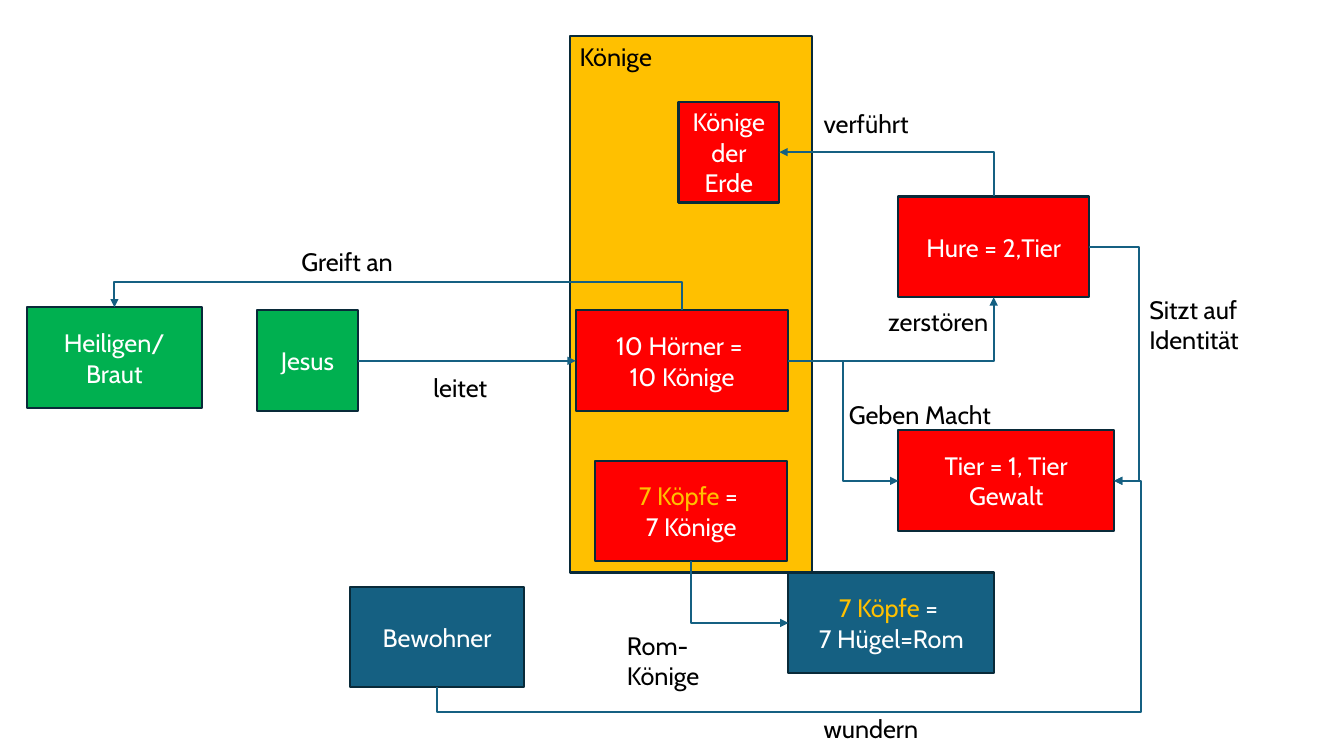
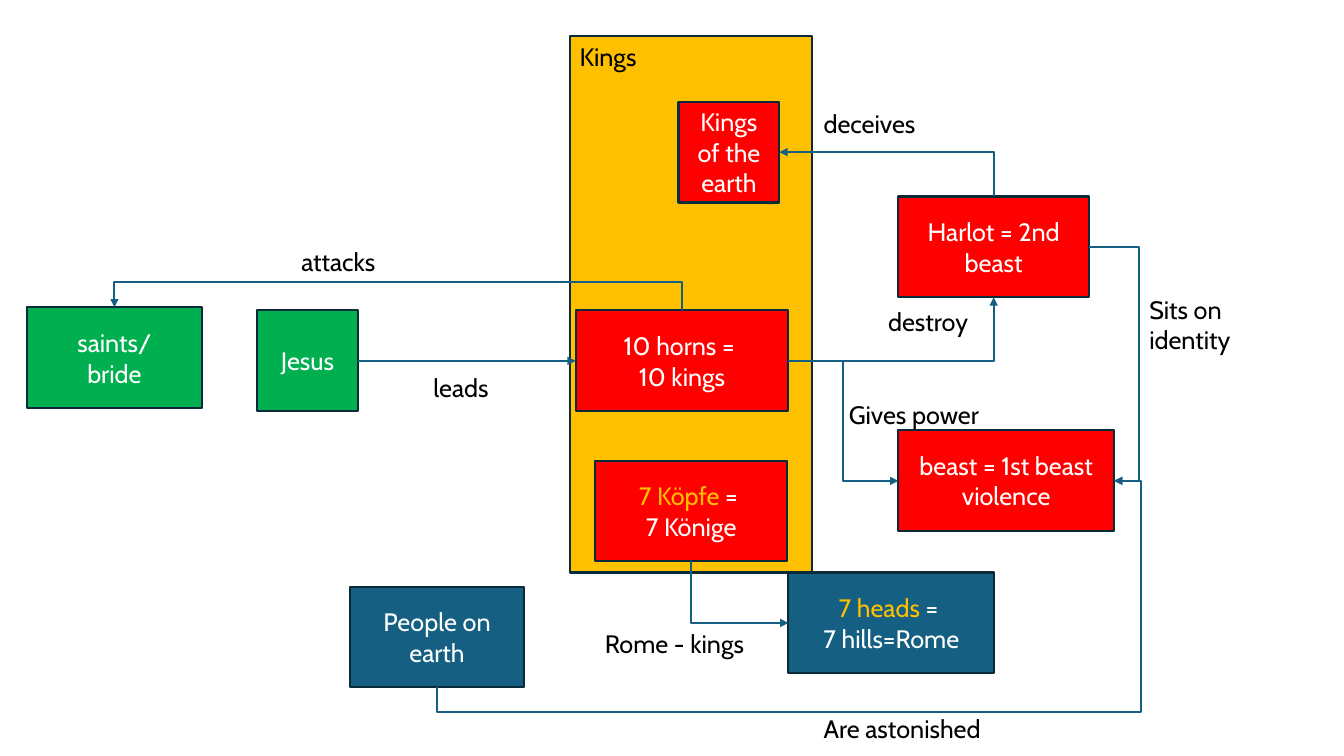
from pptx import Presentation
from pptx.dml.color import RGBColor
from pptx.enum.shapes import MSO_CONNECTOR, MSO_SHAPE
from pptx.enum.text import MSO_ANCHOR, PP_ALIGN
from pptx.oxml.ns import qn
from pptx.util import Inches, Pt
from lxml.etree import SubElement

COLORS = {
    "amber": "FFC000",
    "red": "FF0000",
    "green": "00B050",
    "blue": "156082",
    "outline": "092A39",
    "white": "FFFFFF",
    "black": "000000",
}
TOP, LEFT, BOTTOM, RIGHT = range(4)

FIGURES = {
    "harlot": (8.91, 1.95, 1.89, 1, "red"),
    "people": (3.47, 5.82, 1.73, 1, "blue"),
    "saints": (0.27, 3.05, 1.73, 1, "green"),
    "jesus": (2.55, 3.08, 1, 1, "green"),
    "hills": (7.82, 5.68, 2.04, 1, "blue"),
    "earth_kings": (6.73, 1.01, 1, 1, "red"),
    "horns": (5.71, 3.08, 2.11, 1, "red"),
    "heads": (5.9, 4.57, 1.91, 1, "red"),
    "beast": (8.91, 4.27, 2.14, 1, "red"),
}

RELATIONS = [
    ("horns", RIGHT, "beast", LEFT, 0, 3, (0.5,)),
    ("horns", RIGHT, "harlot", BOTTOM, 0, 2, ()),
    ("harlot", TOP, "earth_kings", RIGHT, 270, 2, ()),
    ("harlot", RIGHT, "beast", RIGHT, 0, 3, (2,)),
    ("heads", BOTTOM, "hills", LEFT, 270, 2, ()),
    ("people", BOTTOM, "beast", RIGHT, 90, 4, (-0.12, 1.04)),
    ("horns", TOP, "saints", TOP, 270, 3, (9.33,)),
    ("jesus", RIGHT, "horns", LEFT, 0, 3, (0.5,)),
]

LABEL_SPOTS = {
    "deceives": (8.07, 1.03),
    "destroys": (8.71, 2.99),
    "sits_on": (11.3, 2.87),
    "wonders": (8.07, 7.03),
    "leads": (4.2, 3.64),
    "attacks": (2.89, 2.39),
    "gives_power": (8.32, 3.91),
}

GERMAN = {
    "kings": "Könige",
    "figures": {
        "harlot": "Hure = 2,Tier",
        "people": "Bewohner",
        "saints": "Heiligen/\nBraut",
        "jesus": "Jesus",
        "hills": "7 Köpfe = \n7 Hügel=Rom",
        "earth_kings": "Könige der Erde",
        "horns": "10 Hörner = \n10 Könige",
        "heads": "7 Köpfe = \n7 Könige",
        "beast": "Tier = 1, Tier\vGewalt",
    },
    "accents": {"hills": "7 Köpfe", "heads": "7 Köpfe "},
    "labels": {
        "deceives": ("verführt", 1.05),
        "destroys": ("zerstören", 1.22),
        "sits_on": ("Sitzt auf\nIdentität", 1.12),
        "wonders": ("wundern", 1.16),
        "leads": ("leitet", 0.76),
        "attacks": ("Greift an", 1.14),
        "gives_power": ("Geben Macht", 1.67),
    },
    "rome": ("Rom- Könige", 6.12, 6.2, 1.1, 0.71),
}

ENGLISH = {
    "kings": "Kings",
    "figures": {
        "harlot": "Harlot = 2nd beast",
        "people": "People on earth",
        "saints": "saints/\nbride",
        "jesus": "Jesus",
        "hills": "7 heads = \n7 hills=Rome",
        "earth_kings": "Kings of the earth",
        "horns": "10 horns = \n10 kings",
        "heads": "7 Köpfe = \n7 Könige",
        "beast": "beast = 1st beast\vviolence",
    },
    "accents": {"hills": "7 heads", "heads": "7 Köpfe "},
    "labels": {
        "deceives": ("deceives", 1.17),
        "destroys": ("destroy", 1.01),
        "sits_on": ("Sits on\nidentity", 1.01),
        "wonders": ("Are astonished", 1.83),
        "leads": ("leads", 0.8),
        "attacks": ("attacks", 1.01),
        "gives_power": ("Gives power", 1.53),
    },
    "rome": ("Rome - kings", 5.9, 6.18, 1.6, 0.4),
}


def rgb(color):
    return RGBColor.from_string(COLORS[color])


class Diagram:
    font = "Cabin"
    size = Pt(18)
    stroke = Pt(1.5)

    def __init__(self, deck):
        self.slide = deck.slides.add_slide(deck.slide_layouts[6])

    def style_text(self, frame, color, align):
        for paragraph in frame.paragraphs:
            paragraph.alignment = align
            for run in paragraph.runs:
                run.font.name = self.font
                run.font.size = self.size
                run.font.color.rgb = rgb(color)

    def box(self, x, y, w, h, fill, text, color="white",
            align=PP_ALIGN.CENTER, anchor=MSO_ANCHOR.MIDDLE, accent=""):
        box = self.slide.shapes.add_shape(
            MSO_SHAPE.RECTANGLE, Inches(x), Inches(y), Inches(w), Inches(h))
        box.shadow.inherit = False
        box.fill.solid()
        box.fill.fore_color.rgb = rgb(fill)
        box.line.color.rgb = rgb("outline")
        box.line.width = self.stroke
        frame = box.text_frame
        frame.word_wrap = True
        frame.vertical_anchor = anchor
        frame.text = text
        if accent:
            first = frame.paragraphs[0]
            rest = first.text.removeprefix(accent)
            first.text = accent
            first.add_run().text = rest
        self.style_text(frame, color, align)
        if accent:
            first.runs[0].font.color.rgb = rgb("amber")
        return box

    def label(self, text, x, y, w, h, wrap=False):
        label = self.slide.shapes.add_textbox(
            Inches(x), Inches(y), Inches(w), Inches(h))
        label.text_frame.word_wrap = wrap
        label.text_frame.text = text
        self.style_text(label.text_frame, "black", PP_ALIGN.LEFT)

    def arrow(self, source, source_side, target, target_side,
              turn, segments, bends):
        arrow = self.slide.shapes.add_connector(MSO_CONNECTOR.ELBOW, 0, 0, 0, 0)
        arrow.begin_connect(source, source_side)
        arrow.end_connect(target, target_side)
        arrow.line.color.rgb = rgb("blue")
        arrow.line.width = self.stroke
        self.route(arrow, turn, segments, bends)
        properties = arrow.element.spPr
        SubElement(properties.find(qn("a:ln")), qn("a:tailEnd"), type="triangle")
        SubElement(properties, qn("a:effectLst"))

    def route(self, arrow, turn, segments, bends):
        x, y = arrow.begin_x, arrow.begin_y
        dx, dy = arrow.end_x - x, arrow.end_y - y
        if turn:
            width, height = abs(dy), abs(dx)
            flip_h = (dy < 0) == (turn == 90)
            flip_v = (dx > 0) == (turn == 90)
        else:
            width, height = abs(dx), abs(dy)
            flip_h, flip_v = dx < 0, dy < 0
        arrow.left = x + (dx - width) // 2
        arrow.top = y + (dy - height) // 2
        arrow.width, arrow.height = width, height
        frame = arrow.element.spPr.find(qn("a:xfrm"))
        frame.set("rot", str(turn * 60000))
        frame.set("flipH", str(int(flip_h)))
        frame.set("flipV", str(int(flip_v)))
        geometry = arrow.element.spPr.find(qn("a:prstGeom"))
        geometry.set("prst", f"bentConnector{segments}")
        guides = geometry.find(qn("a:avLst"))
        for number, bend in enumerate(bends, 1):
            SubElement(guides, qn("a:gd"), name=f"adj{number}",
                       fmla=f"val {round(bend * 100000)}")


def build(deck, words):
    diagram = Diagram(deck)
    diagram.box(5.65, 0.36, 2.4, 5.32, "amber", words["kings"], "black",
                PP_ALIGN.LEFT, MSO_ANCHOR.TOP)
    figures = {
        key: diagram.box(*place, words["figures"][key],
                         accent=words["accents"].get(key, ""))
        for key, place in FIGURES.items()
    }
    for source, source_side, target, target_side, *course in RELATIONS:
        diagram.arrow(figures[source], source_side,
                      figures[target], target_side, *course)
    for key, (x, y) in LABEL_SPOTS.items():
        text, width = words["labels"][key]
        diagram.label(text, x, y, width, 0.71 if "\n" in text else 0.4)
    diagram.label(*words["rome"], wrap=True)


def main():
    deck = Presentation()
    deck.slide_width = Inches(13.33)
    deck.slide_height = Inches(7.5)
    for words in (GERMAN, ENGLISH):
        build(deck, words)
    deck.save("out.pptx")


if __name__ == "__main__":
    main()
